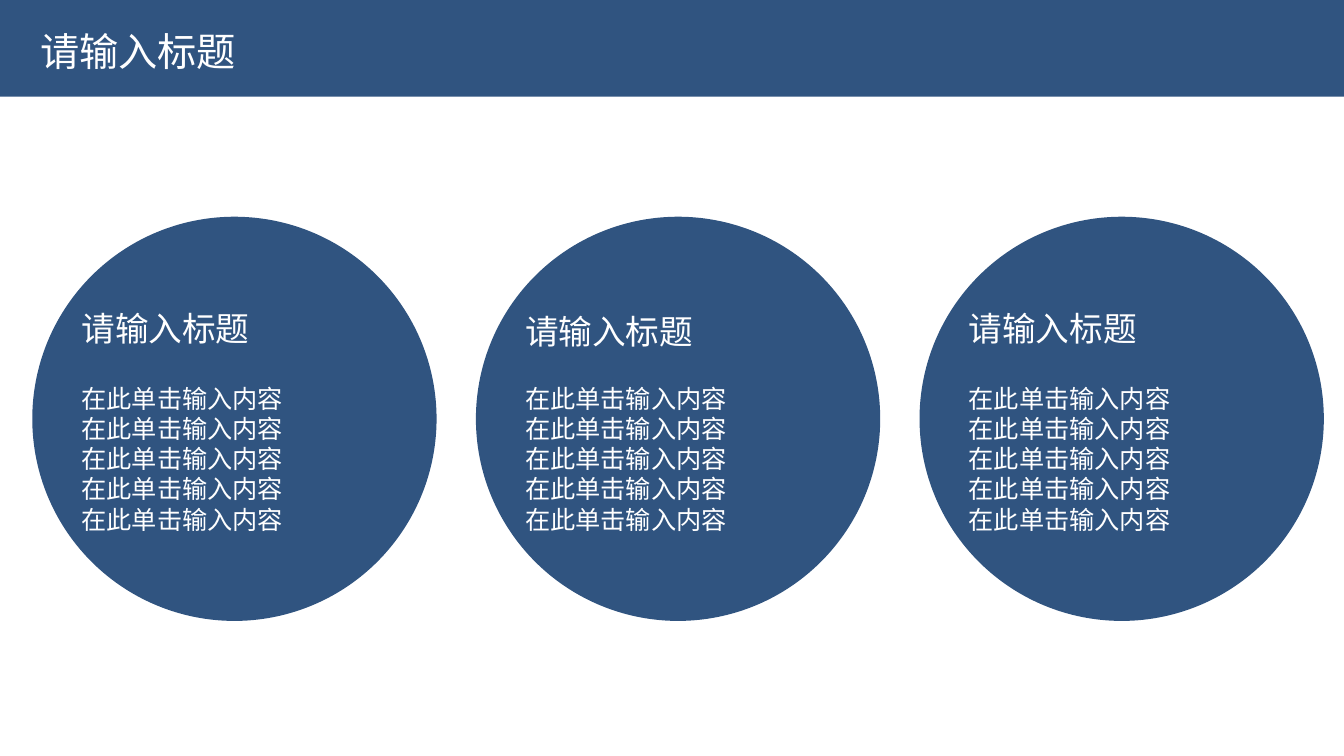
from lxml.etree import SubElement
from pptx import Presentation
from pptx.dml.color import RGBColor
from pptx.enum.shapes import MSO_SHAPE
from pptx.enum.text import MSO_ANCHOR, MSO_AUTO_SIZE, PP_ALIGN
from pptx.oxml.ns import qn
from pptx.util import Inches, Pt

WIDTH, HEIGHT = 13.33, 7.5
FONT = "Noto Sans CJK SC"
NAVY, WHITE = "305480", "FFFFFF"
HEADING = "请输入标题"
CONTENT = ["在此单击输入内容"] * 5
FIRST_LEFT, COLUMN_PITCH = 0.32, 4.4
CIRCLE_TOP, DIAMETER = 2.15, 4.01
TEXT_INDENT = 0.39
HEADING_TOPS = [3.01, 3.04, 3.01]


def color(hex_value):
    return RGBColor.from_string(hex_value)


def add_filled(slide, kind, left, top, width, height):
    figure = slide.shapes.add_shape(
        kind, Inches(left), Inches(top), Inches(width), Inches(height))
    figure.fill.solid()
    figure.fill.fore_color.rgb = color(NAVY)
    figure.line.fill.background()
    figure.shadow.inherit = False


def write_lines(frame, lines, size):
    frame.word_wrap = True
    frame.vertical_anchor = MSO_ANCHOR.TOP
    frame.text = "\n".join(lines)
    for paragraph in frame.paragraphs:
        paragraph.alignment = PP_ALIGN.LEFT
        paragraph.font.size = Pt(size)
        paragraph.font.name = FONT
        paragraph.font.color.rgb = color(WHITE)
        defaults = paragraph._p.find(".//" + qn("a:defRPr"))
        SubElement(defaults, qn("a:ea")).set("typeface", FONT)


def add_text(slide, left, top, width, height, lines, size):
    box = slide.shapes.add_textbox(
        Inches(left), Inches(top), Inches(width), Inches(height))
    write_lines(box.text_frame, lines, size)
    box.text_frame.auto_size = MSO_AUTO_SIZE.SHAPE_TO_FIT_TEXT


def add_circle_column(slide, column, heading_top):
    left = FIRST_LEFT + column * COLUMN_PITCH
    text_left = left + TEXT_INDENT
    add_filled(slide, MSO_SHAPE.OVAL, left, CIRCLE_TOP, DIAMETER, DIAMETER)
    add_text(slide, text_left, heading_top, 2.88, 0.5, [HEADING], 24)
    add_text(slide, text_left, 3.75, 2.85, 1.62, CONTENT, 18)


def place_title(slide):
    title = slide.shapes.title
    title.left, title.top = Inches(0.33), Inches(0.23)
    title.width, title.height = Inches(4.74), Inches(0.55)
    frame = title.text_frame
    frame.margin_left = frame.margin_right = Inches(0.07)
    frame.margin_top = frame.margin_bottom = Inches(0.04)
    write_lines(frame, [HEADING], 28)
    frame.auto_size = MSO_AUTO_SIZE.SHAPE_TO_FIT_TEXT
    title.element.getparent().append(title.element)


def main():
    deck = Presentation()
    deck.slide_width, deck.slide_height = Inches(WIDTH), Inches(HEIGHT)
    slide = deck.slides.add_slide(deck.slide_layouts[5])
    add_filled(slide, MSO_SHAPE.RECTANGLE, 0, 0, WIDTH, 0.96)
    for column, heading_top in enumerate(HEADING_TOPS):
        add_circle_column(slide, column, heading_top)
    place_title(slide)
    deck.save("out.pptx")


if __name__ == "__main__":
    main()
